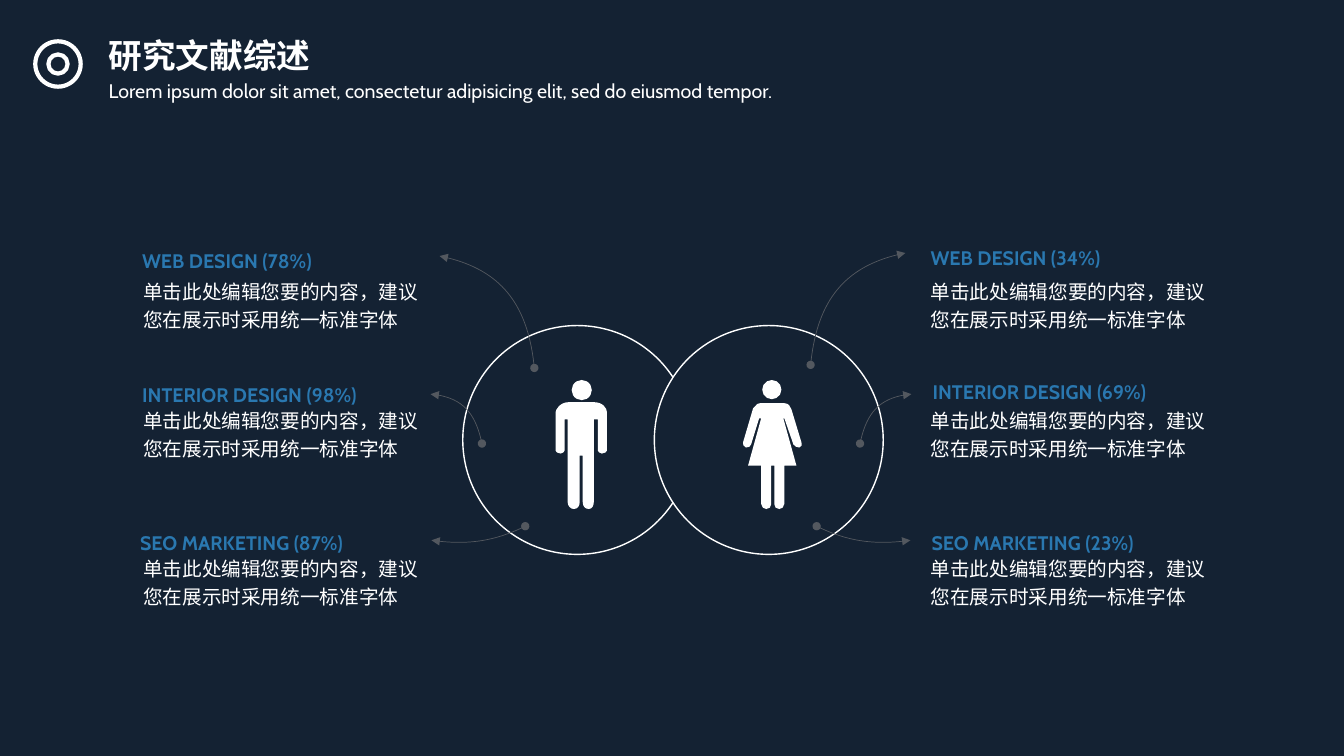
from pptx import Presentation
from pptx.dml.color import RGBColor
from pptx.enum.shapes import MSO_SHAPE
from pptx.enum.text import MSO_ANCHOR
from pptx.oxml.ns import qn
from pptx.util import Inches, Pt
from lxml.etree import SubElement

NAVY = RGBColor(0x14, 0x22, 0x33)
WHITE = RGBColor(0xFF, 0xFF, 0xFF)
BLUE = RGBColor(0x2A, 0x78, 0xB0)
GREY = RGBColor(0x53, 0x58, 0x5F)

BODY = "单击此处编辑您要的内容，建议您在展示时采用统一标准字体"

# Outlines: a pair is a straight step, six numbers are a cubic curve
MAN = [
    (5.89, 3.99), (5.64, 3.99), (5.55, 3.99, 5.51, 4.07, 5.51, 4.09),
    (5.51, 4.47), (5.51, 4.48, 5.53, 4.5, 5.56, 4.5),
    (5.58, 4.5, 5.6, 4.48, 5.6, 4.47), (5.6, 4.16), (5.63, 4.16),
    (5.63, 4.98), (5.63, 5.02, 5.66, 5.05, 5.69, 5.05),
    (5.73, 5.05, 5.75, 5.02, 5.75, 4.98), (5.75, 4.52), (5.78, 4.52),
    (5.78, 4.98), (5.78, 5.02, 5.8, 5.05, 5.84, 5.05),
    (5.87, 5.05, 5.89, 5.02, 5.89, 4.98), (5.89, 4.16), (5.93, 4.16),
    (5.93, 4.47), (5.93, 4.48, 5.95, 4.5, 5.97, 4.5),
    (6, 4.5, 6.02, 4.48, 6.02, 4.47), (6.02, 4.09),
    (6.02, 4.05, 5.98, 3.99, 5.89, 3.99),
]
WOMAN = [
    (7.95, 4.39), (7.85, 4.06), (7.84, 4.03, 7.82, 4, 7.78, 4), (7.54, 4),
    (7.52, 4, 7.5, 4.01, 7.49, 4.03), (7.47, 4.05), (7.37, 4.39),
    (7.36, 4.41, 7.38, 4.43, 7.4, 4.44), (7.42, 4.44, 7.45, 4.43, 7.45, 4.41),
    (7.53, 4.15), (7.55, 4.15), (7.42, 4.62), (7.55, 4.62), (7.55, 5),
    (7.55, 5.03, 7.58, 5.05, 7.6, 5.05), (7.63, 5.05, 7.65, 5.03, 7.65, 5),
    (7.65, 4.62), (7.68, 4.62), (7.68, 5),
    (7.68, 5.03, 7.7, 5.05, 7.73, 5.05), (7.75, 5.05, 7.78, 5.03, 7.78, 5),
    (7.78, 4.62), (7.9, 4.62), (7.77, 4.15), (7.78, 4.15), (7.87, 4.41),
    (7.88, 4.43, 7.91, 4.44, 7.93, 4.44), (7.95, 4.43, 7.96, 4.41, 7.95, 4.39),
]

# Label, left, top, width for each side, then the top of the body text
ROWS = [
    (("WEB DESIGN (78%)", 1.28, 2.37, 2.66),
     ("WEB DESIGN (34%)", 9.1, 2.34, 2.93), 2.73),
    (("INTERIOR DESIGN (98%)", 1.28, 3.7, 2.8),
     ("INTERIOR DESIGN (69%)", 9.12, 3.67, 2.66), 4.01),
    (("SEO MARKETING (87%)", 1.26, 5.17, 2.67),
     ("SEO MARKETING (23%)", 9.11, 5.17, 2.66), 5.48),
]

# Left arrow, then the mirror sum and the rise of its right twin
ARROWS = [
    ([(5.3, 3.65), (5.24, 3.02, 4.93, 2.65, 4.36, 2.54)], 13.34, 0.03),
    ([(4.78, 4.4), (4.72, 4.1, 4.55, 3.93, 4.27, 3.91)], 13.31, 0),
    ([(5.21, 5.22), (4.93, 5.36, 4.62, 5.41, 4.28, 5.36)], 13.31, 0),
]


class Board:
    def __init__(self, deck, font):
        self.font = font
        self.slide = deck.slides.add_slide(deck.slide_layouts[6])
        fill = self.slide.background.fill
        fill.solid()
        fill.fore_color.rgb = NAVY

    def paint(self, shape, fill, line, width):
        shape.shadow.inherit = False
        if fill is None:
            shape.fill.background()
        else:
            shape.fill.solid()
            shape.fill.fore_color.rgb = fill
        if line is None:
            shape.line.fill.background()
        else:
            shape.line.color.rgb = line
            shape.line.width = Pt(width)
        return shape

    def disc(self, x, y, size, fill=None, line=None, width=1):
        shape = self.slide.shapes.add_shape(
            MSO_SHAPE.OVAL, Inches(x), Inches(y), Inches(size), Inches(size))
        return self.paint(shape, fill, line, width)

    def outline(self, steps, fill=None, line=None, width=1):
        pairs = [(Inches(s[i]), Inches(s[i + 1]))
                 for s in steps for i in range(0, len(s), 2)]
        form = self.slide.shapes.build_freeform(*pairs[0])
        form.add_line_segments(pairs[1:], close=fill is not None)
        shape = form.convert_to_shape()
        # Merge each run of three straight steps into one curve
        lines = iter(list(shape._element.iter(qn("a:lnTo"))))
        for step in steps[1:]:
            node = next(lines)
            if len(step) == 6:
                node.tag = qn("a:cubicBezTo")
                for _ in range(2):
                    extra = next(lines)
                    node.append(extra[0])
                    extra.getparent().remove(extra)
        return self.paint(shape, fill, line, width)

    def arrow(self, steps):
        shape = self.outline(steps, line=GREY, width=0.5)
        edge = shape.line._get_or_add_ln()
        SubElement(edge, qn("a:headEnd"), type="oval")
        SubElement(edge, qn("a:tailEnd"), type="triangle")

    def text(self, words, x, y, w, h, size=14, color=WHITE, bold=False,
             pad=(0.1, 0.05), anchor=MSO_ANCHOR.TOP):
        box = self.slide.shapes.add_textbox(
            Inches(x), Inches(y), Inches(w), Inches(h))
        frame = box.text_frame
        frame.word_wrap = True
        frame.vertical_anchor = anchor
        frame.margin_left = frame.margin_right = Inches(pad[0])
        frame.margin_top = frame.margin_bottom = Inches(pad[1])
        para = frame.paragraphs[0]
        para.line_spacing = 1.2
        run = para.add_run()
        run.text = words
        run.font.name = self.font
        run.font.size = Pt(size)
        run.font.bold = bold
        run.font.color.rgb = color


def mirror(steps, total, rise):
    return [tuple(round(v - rise if i % 2 else total - v, 2)
                  for i, v in enumerate(step)) for step in steps]


def main():
    deck = Presentation()
    deck.slide_width = Inches(13.33)
    deck.slide_height = Inches(7.5)
    board = Board(deck, "Cabin")

    # Two overlapping circles
    for x in (4.59, 6.49):
        board.disc(x, 3.23, 2.27, NAVY, WHITE)

    # Man and woman
    for body, x, size in ((MAN, 5.67, 0.2), (WOMAN, 7.56, 0.19)):
        board.outline(body, WHITE)
        board.disc(x, 3.77, size, WHITE)

    # Curved arrows
    for steps, total, rise in ARROWS:
        board.arrow(steps)
        board.arrow(mirror(steps, total, rise))

    # Labels and body text
    for left, right, top in ROWS:
        for (label, x, y, w), edge in ((left, 1.42), (right, 9.23)):
            board.text(label, x, y, w, 0.38, color=BLUE, bold=True,
                       pad=(0.13, 0.07), anchor=MSO_ANCHOR.MIDDLE)
            board.text(BODY, edge, top, 2.76, 0.54, pad=(0, 0))

    # Heading with its ring mark
    board.text("Lorem ipsum dolor sit amet, consectetur adipisicing elit, "
               "sed do eiusmod tempor.", 0.98, 0.69, 7.85, 0.36)
    board.text("研究文献综述", 0.98, 0.22, 2.9, 0.54, size=24, bold=True)
    for x, y, size in ((0.35, 0.41, 0.45), (0.48, 0.54, 0.19)):
        board.disc(x, y, size, line=WHITE, width=3)

    deck.save("out.pptx")


if __name__ == "__main__":
    main()
